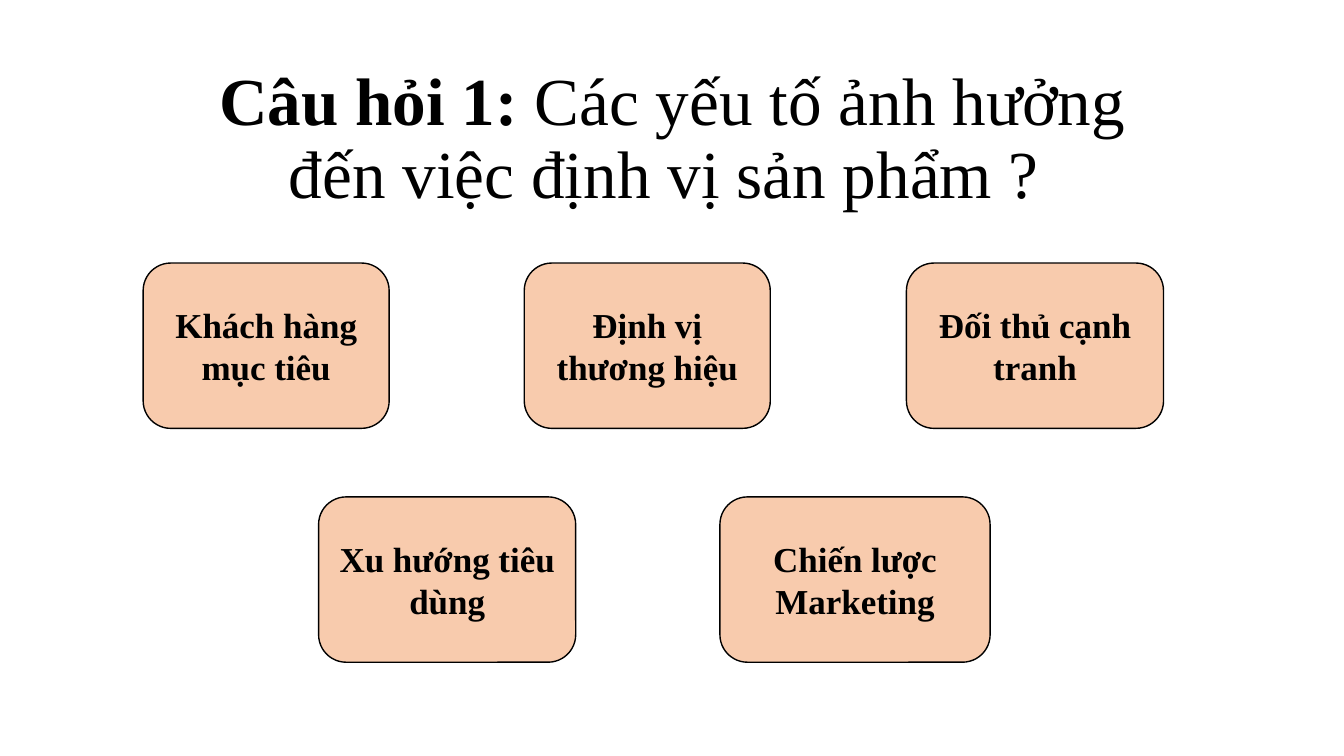
from pptx import Presentation
from pptx.dml.color import RGBColor
from pptx.enum.shapes import MSO_SHAPE as Shape
from pptx.enum.text import MSO_ANCHOR as Anchor, MSO_AUTO_SIZE as AutoSize, PP_ALIGN as Align
from pptx.util import Inches, Pt

FONT = "Times New Roman"
BLACK = "000000"
PEACH = "F8CBAD"
BOX_HEIGHT = 1.64
FACTOR_ROWS = [
    (2.61, [(1.42, 2.44, "Khách hàng mục tiêu"),
            (5.2, 2.44, "Định vị thương hiệu"),
            (8.99, 2.55, "Đối thủ cạnh tranh")]),
    (4.93, [(3.16, 2.55, "Xu hướng tiêu dùng"),
            (7.14, 2.68, "Chiến lược Marketing")]),
]


def color(hex_code):
    """Turn a hex string into a colour."""
    return RGBColor.from_string(hex_code)


def style_run(run, size, bold):
    """Set the font of one run."""
    run.font.name = FONT
    run.font.size = Pt(size)
    run.font.bold = bold
    run.font.color.rgb = color(BLACK)


def add_question(slide, label, question):
    """Place the title with a bold label before the question."""
    title = slide.shapes.title
    title.left, title.top = Inches(1.67), Inches(0.52)
    title.width, title.height = Inches(10), Inches(1.64)
    frame = title.text_frame
    frame.word_wrap = True
    frame.auto_size = AutoSize.NONE
    frame.vertical_anchor = Anchor.BOTTOM
    paragraph = frame.paragraphs[0]
    paragraph.alignment = Align.CENTER
    paragraph.line_spacing = 0.9
    for text, bold in ((label, True), (question, False)):
        run = paragraph.add_run()
        run.text = text
        style_run(run, 48, bold)


def add_factor(slide, left, top, width, text):
    """Add a rounded box naming one factor."""
    box = slide.shapes.add_shape(Shape.ROUNDED_RECTANGLE, Inches(left), Inches(top),
                                 Inches(width), Inches(BOX_HEIGHT))
    box.shadow.inherit = False
    box.fill.solid()
    box.fill.fore_color.rgb = color(PEACH)
    box.line.color.rgb = color(BLACK)
    box.line.width = Pt(1)
    frame = box.text_frame
    frame.word_wrap = True
    frame.vertical_anchor = Anchor.MIDDLE
    frame.text = text
    paragraph = frame.paragraphs[0]
    paragraph.alignment = Align.CENTER
    style_run(paragraph.runs[0], 25, True)


def main():
    """Build and save the slide."""
    deck = Presentation()
    deck.slide_width, deck.slide_height = Inches(13.33), Inches(7.5)
    slide = deck.slides.add_slide(deck.slide_layouts[5])
    add_question(slide, "Câu hỏi 1: ", "Các yếu tố ảnh hưởng đến việc định vị sản phẩm ? ")
    for top, factors in FACTOR_ROWS:
        for left, width, text in factors:
            add_factor(slide, left, top, width, text)
    deck.save("out.pptx")


if __name__ == "__main__":
    main()
